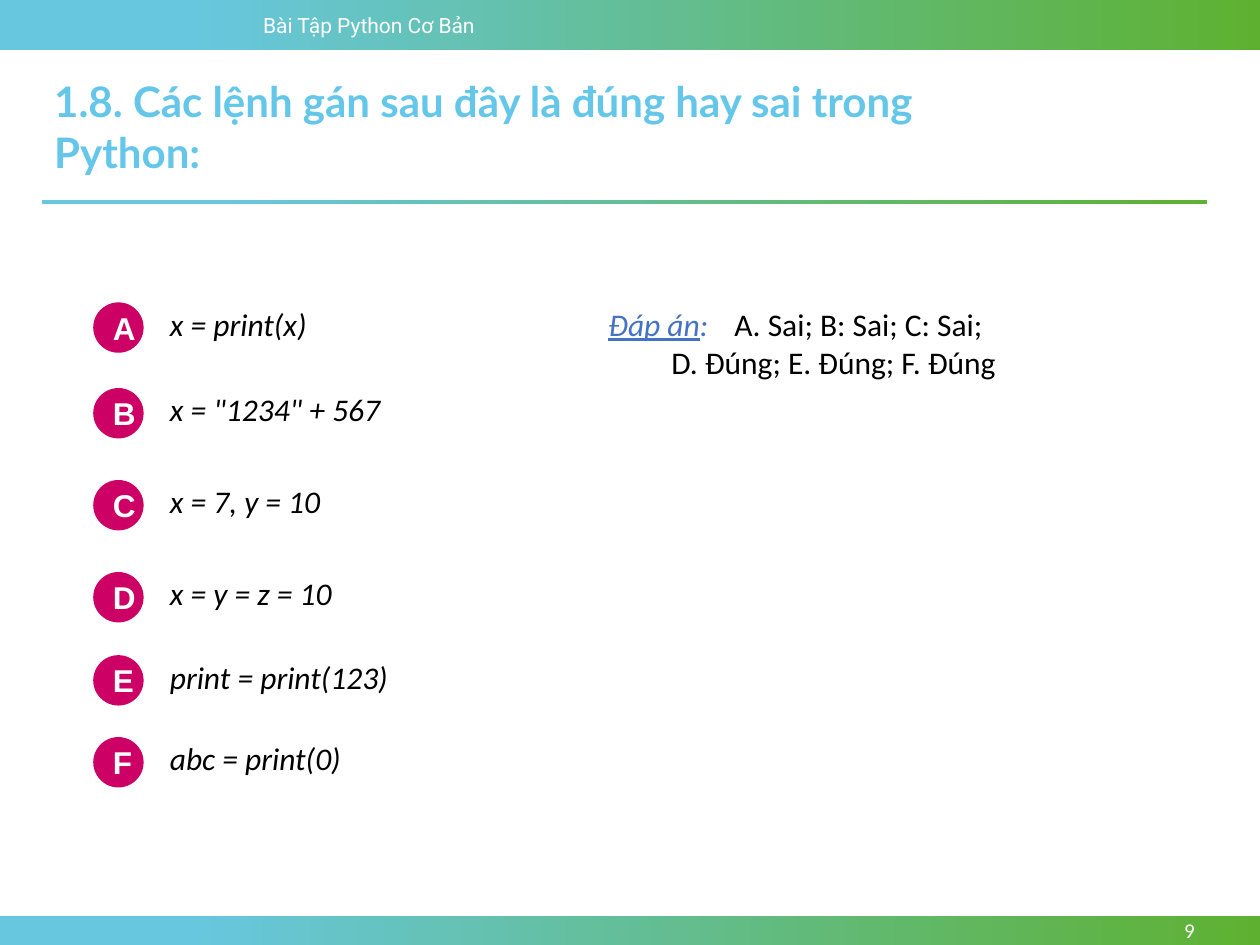
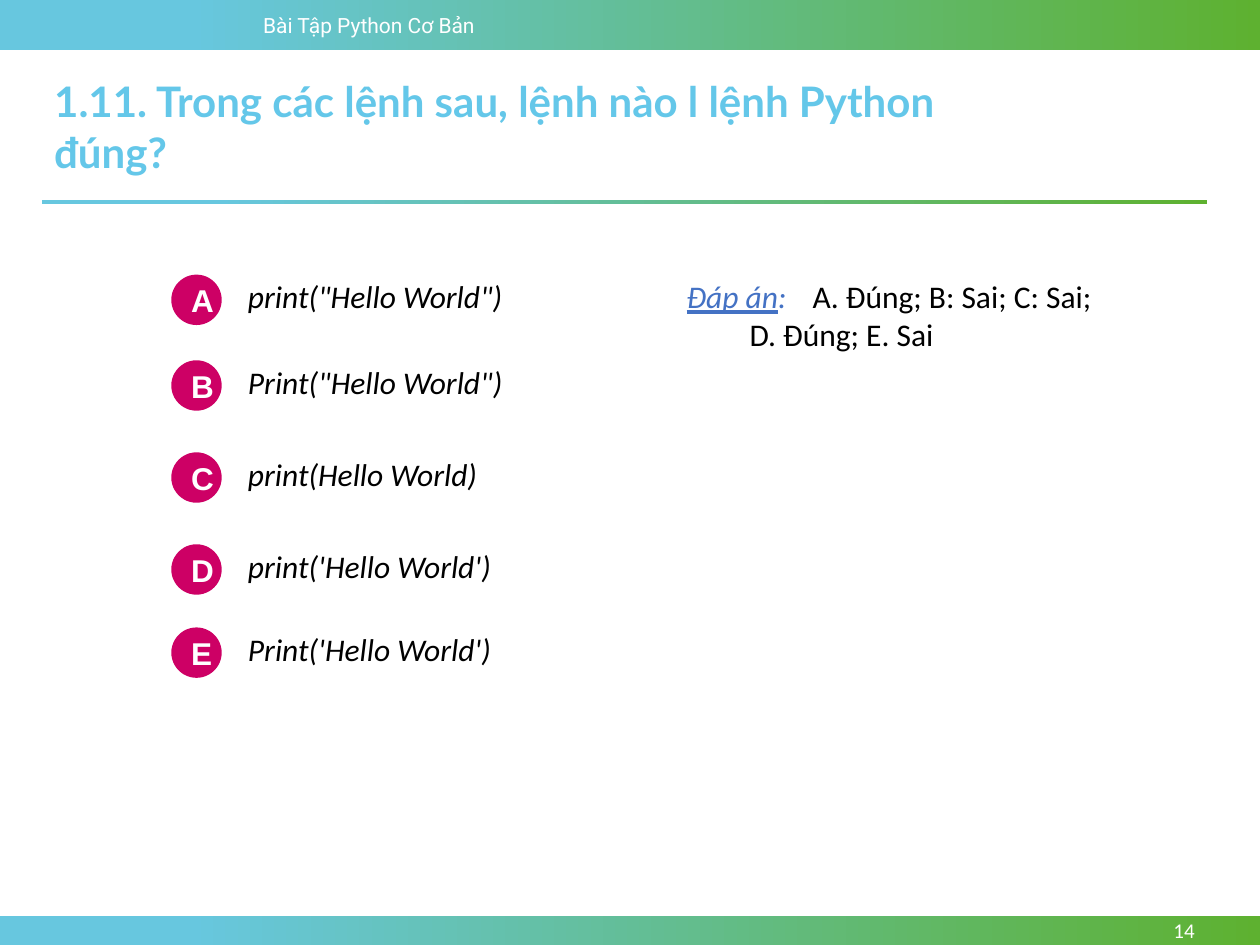
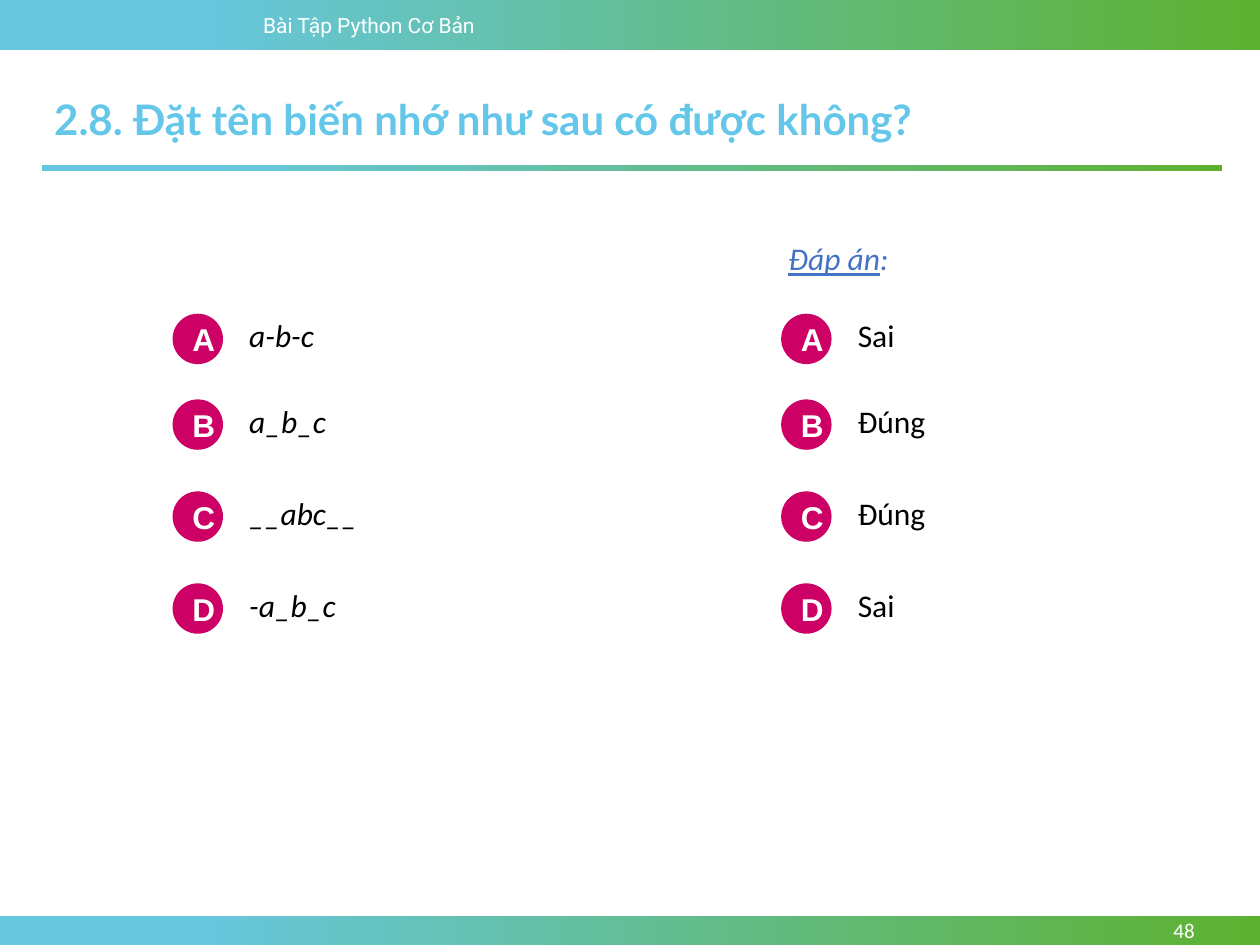
"""Three exercise slides: a question, lettered options and the answers."""
from pptx import Presentation, util as u
from pptx.dml.color import RGBColor
from pptx.enum import shapes, text

SKY = RGBColor(0x67, 0xC7, 0xDF)
LEAF = RGBColor(0x5E, 0xB1, 0x30)
TITLE_BLUE = RGBColor(0x64, 0xC7, 0xE9)
ANSWER_BLUE = RGBColor(0x44, 0x72, 0xC4)
MAGENTA = RGBColor(0xCD, 0x00, 0x65)
WHITE = RGBColor(0xFF, 0xFF, 0xFF)
BLACK = RGBColor(0x00, 0x00, 0x00)

WIDTH, HEIGHT = 10, 7.5
MARGIN = 0.33
HEADER, FOOTER = 0.4, 0.23
TITLE_ONLY = 5
BADGE = 0.4                                   # diameter of a letter badge
OPTION_INDENT, OPTION_WIDTH = 0.51, 2.76
OPTION_LIFT = 0.03                            # text starts above its badge
ROWS = (0, 0.68, 1.41, 2.14, 2.8, 3.45)       # badge tops below the first one


def place(shape, left, top, width, height):
    """Move and size a shape, in inches."""
    shape.left, shape.top = u.Inches(left), u.Inches(top)
    shape.width, shape.height = u.Inches(width), u.Inches(height)


def style(font, name, size, color, bold=False, italic=False):
    """Set the look of a paragraph or run font."""
    font.name, font.size = name, u.Pt(size)
    font.bold, font.italic = bold, italic
    font.color.rgb = color


def add_flat(slide, kind, left, top, width, height):
    """Add a preset shape without line or shadow."""
    shape = slide.shapes.add_shape(
        kind, *map(u.Inches, (left, top, width, height)))
    shape.shadow.inherit = False
    shape.line.fill.background()
    return shape


def add_band(slide, left, top, width, height):
    """Add a bar that fades from sky blue to green."""
    band = add_flat(slide, shapes.MSO_SHAPE.RECTANGLE, left, top, width, height)
    band.fill.gradient()
    band.fill.gradient_angle = 0
    for stop, color, position in zip(
            band.fill.gradient_stops, (SKY, LEAF), (0.15, 1)):
        stop.color.rgb, stop.position = color, position
    return band


def add_label(slide, words, left, top, width, height, name, size, color,
              italic=False):
    """Add a one-paragraph text box."""
    label = slide.shapes.add_textbox(
        *map(u.Inches, (left, top, width, height)))
    label.text_frame.word_wrap = True
    label.text_frame.text = words
    style(label.text_frame.paragraphs[0].font, name, size, color, italic=italic)
    return label


def furnish_layout(layout, slide):
    """Draw the bands and course name, and hand them over to the layout."""
    furniture = (
        add_band(slide, 0, 0, WIDTH, HEADER),
        add_band(slide, 0, HEIGHT - FOOTER, WIDTH, FOOTER),
        add_label(slide, "Bài Tập Python Cơ Bản", 1.99, 0.05, 2.25, 0.3,
                  "Roboto", 12, WHITE),
    )
    for part in furniture:
        layout.shapes.element.append(part.element)


def add_title(slide, question, top, width):
    """Write the question in the title placeholder."""
    title = slide.shapes.title
    place(title, MARGIN, top, width, 0.5)
    frame = title.text_frame
    frame.text = question
    frame.word_wrap = True
    frame.auto_size = text.MSO_AUTO_SIZE.NONE
    frame.vertical_anchor = text.MSO_ANCHOR.TOP
    frame.paragraphs[0].alignment = text.PP_ALIGN.LEFT
    style(frame.paragraphs[0].font, "Lato", 24, TITLE_BLUE, bold=True)


def add_page_number(slide, number):
    """Write the page number on the footer band."""
    page = add_label(slide, str(number), 8.66, HEIGHT - FOOTER, 0.92, FOOTER,
                     "Calibri", 12, WHITE)
    page.text_frame.vertical_anchor = text.MSO_ANCHOR.MIDDLE
    page.text_frame.paragraphs[0].alignment = text.PP_ALIGN.RIGHT


def add_badge(slide, letter, left, top):
    """Add a round badge with a letter."""
    badge = add_flat(slide, shapes.MSO_SHAPE.OVAL, left, top, BADGE, BADGE)
    badge.fill.solid()
    badge.fill.fore_color.rgb = MAGENTA
    badge.text_frame.text = letter
    badge.text_frame.vertical_anchor = text.MSO_ANCHOR.MIDDLE
    badge.text_frame.paragraphs[0].alignment = text.PP_ALIGN.CENTER
    style(badge.text_frame.paragraphs[0].font, "Arial", 18, WHITE, bold=True)


def add_options(slide, options, left, top, italic=True):
    """Add a column of lettered options."""
    for letter, option, row in zip("ABCDEF", options, ROWS):
        add_badge(slide, letter, left, top + row)
        add_label(slide, option, left + OPTION_INDENT, top + row - OPTION_LIFT,
                  OPTION_WIDTH, 0.4, "Calibri", 18, BLACK, italic)


def add_answer(slide, left, top, width, lines=()):
    """Add the answer heading, with answer lines at the first tab stop."""
    box = slide.shapes.add_textbox(
        *map(u.Inches, (left, top, width, 0.71)))
    frame = box.text_frame
    frame.word_wrap = True
    paragraph = frame.paragraphs[0]
    for words, underlined in (("Đáp án", True), (":", False)):
        run = paragraph.add_run()
        run.text = words
        style(run.font, "Calibri", 18, ANSWER_BLUE, italic=True)
        run.font.underline = underlined
    for index, line in enumerate(lines):
        if index:
            paragraph = frame.add_paragraph()
        run = paragraph.add_run()
        run.text = "\t" + line
        style(run.font, "Calibri", 18, BLACK)


def add_exercise(prs, page, question, title_box=(0.55, 7.93),
                 rule_box=(1.59, 9.25, 0.03)):
    """Add a slide with its question, rule and page number."""
    layout = prs.slide_layouts[TITLE_ONLY]
    slide = prs.slides.add_slide(layout)
    if len(prs.slides) == 1:
        furnish_layout(layout, slide)
    add_page_number(slide, page)
    rule_top, rule_width, rule_height = rule_box
    add_band(slide, MARGIN, rule_top, rule_width, rule_height)
    add_title(slide, question, *title_box)
    return slide


def main():
    """Build and save the exercises."""
    prs = Presentation()
    prs.slide_width, prs.slide_height = u.Inches(WIDTH), u.Inches(HEIGHT)

    assignments = add_exercise(
        prs, 9, "1.8. Các lệnh gán sau đây là đúng hay sai trong Python:")
    add_options(assignments, (
        "x = print(x)", 'x = "1234" + 567', "x = 7, y = 10",
        "x = y = z = 10", "print = print(123)", "abc = print(0)"), 0.74, 2.4)
    add_answer(assignments, 4.73, 2.37, 3.82, (
        "A. Sai; B: Sai; C: Sai;", "D. Đúng; E. Đúng; F. Đúng"))

    commands = add_exercise(
        prs, 14, "1.11. Trong các lệnh sau, lệnh nào l lệnh Python đúng?")
    add_options(commands, (
        'print("Hello World")', 'Print("Hello World")', "print(Hello World)",
        "print('Hello World')", "Print('Hello World')"), 1.36, 2.18)
    add_answer(commands, 5.35, 2.15, 3.51, (
        "A. Đúng; B: Sai; C: Sai;", "D. Đúng; E. Sai"))

    names = add_exercise(
        prs, 48, "2.8. Đặt tên biến nhớ như sau có được không?",
        title_box=(0.69, 9.59), rule_box=(1.31, 9.37, 0.05))
    add_options(names, ("a-b-c", "a_b_c", "__abc__", "-a_b_c"), 1.37, 2.49)
    add_answer(names, 6.16, 1.85, 1)
    add_options(names, ("Sai", "Đúng", "Đúng", "Sai"), 6.2, 2.49, italic=False)

    prs.save("out.pptx")


main()
